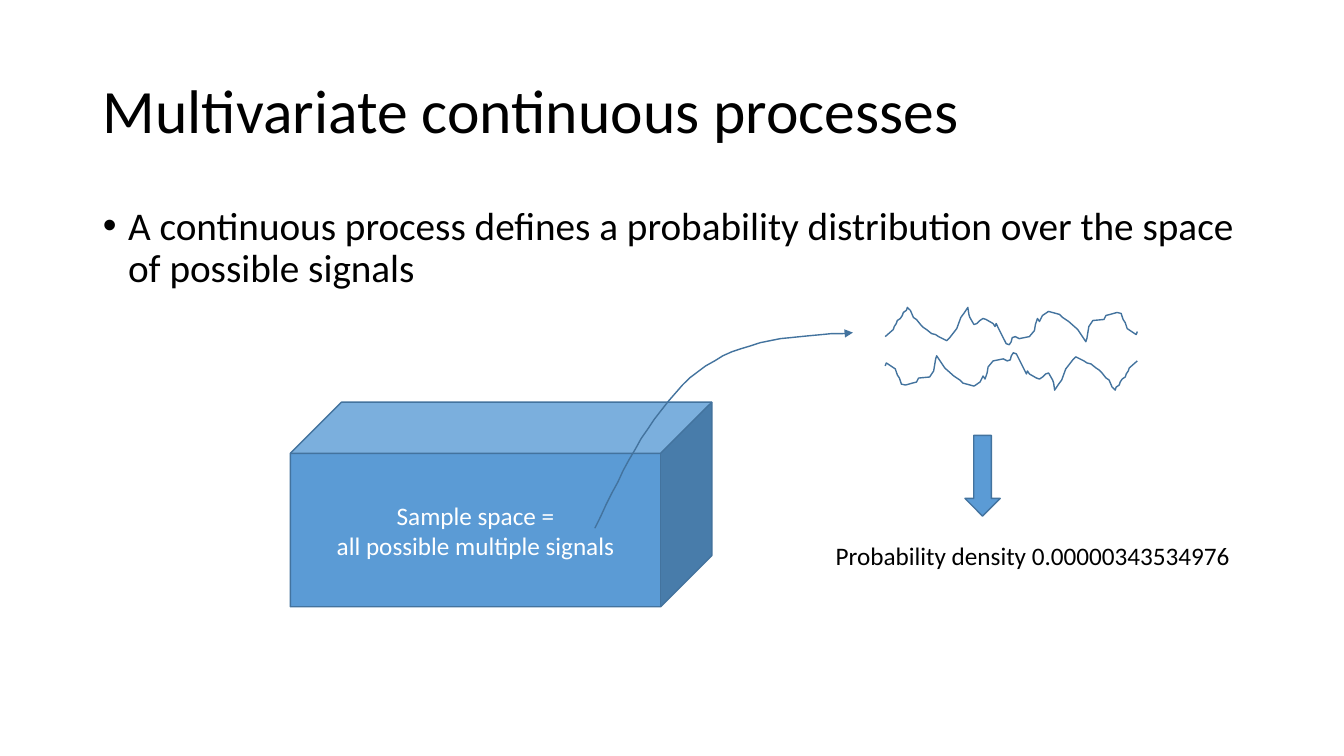
from dataclasses import dataclass

from lxml.etree import SubElement
from pptx import Presentation
from pptx.dml.color import RGBColor
from pptx.enum.shapes import MSO_SHAPE
from pptx.enum.text import MSO_ANCHOR, MSO_AUTO_SIZE, PP_ALIGN
from pptx.oxml.ns import qn
from pptx.util import Inches, Pt


@dataclass(frozen=True)
class Theme:
    font: str = "Calibri"
    ink: RGBColor = RGBColor(0x00, 0x00, 0x00)
    paper: RGBColor = RGBColor(0xFF, 0xFF, 0xFF)
    fill: RGBColor = RGBColor(0x5B, 0x9B, 0xD5)
    outline: RGBColor = RGBColor(0x43, 0x73, 0x9E)
    title_size: int = 44
    body_size: int = 28
    label_size: int = 18
    line_width: int = 1


@dataclass(frozen=True)
class Box:
    left: float
    top: float
    width: float
    height: float

    def inside(self, left, top, width, height):
        return Box(self.left + left, self.top + top, width, height)

    def lengths(self):
        return [Inches(value) for value in (self.left, self.top, self.width, self.height)]


THEME = Theme()

# Signal outline in hundredths of an inch from its top left corner
SIGNAL = [
    (0, 29), (8, 22), (9, 19), (11, 16), (12, 13), (15, 11), (17, 8), (18, 5),
    (21, 3), (22, 0), (25, 3), (28, 10), (31, 12), (35, 17), (38, 20), (41, 22),
    (46, 26), (50, 27), (53, 29), (61, 33), (64, 30), (71, 21), (75, 10), (78, 6),
    (82, 0), (83, 7), (84, 10), (88, 17), (91, 16), (94, 13), (97, 11), (100, 12),
    (107, 16), (109, 19), (110, 16), (114, 24), (116, 28), (120, 36), (123, 37),
    (125, 34), (126, 30), (129, 29), (133, 31), (143, 29), (148, 23), (149, 17),
    (151, 11), (153, 14), (156, 8), (162, 4), (173, 7), (176, 10), (182, 14),
    (191, 22), (195, 28), (199, 34), (200, 31), (202, 19), (206, 13), (217, 12),
    (219, 8), (223, 7), (230, 5), (234, 6), (236, 12), (238, 15), (240, 21),
    (246, 25), (249, 27), (250, 24),
]

# Cubic pieces of the sampling arrow, in the same units
ARROW_CURVE = [
    [(0, 194), (30, 132), (60, 71), (102, 39)],
    [(102, 39), (145, 6), (200, 3), (256, 0)],
]


def write_text(frame, text, *, size, color=THEME.ink, align=PP_ALIGN.LEFT,
               anchor=MSO_ANCHOR.TOP, wrap=True, fit=MSO_AUTO_SIZE.NONE,
               line_spacing=None, bullet=False):
    frame.word_wrap = wrap
    frame.auto_size = fit
    frame.vertical_anchor = anchor
    for index, line in enumerate(text.split("\n")):
        para = frame.add_paragraph() if index else frame.paragraphs[0]
        para.alignment = align
        para.space_before = Pt(0)
        if line_spacing:
            para.line_spacing = line_spacing
        if bullet:
            properties = para._p.get_or_add_pPr()
            properties.set("marL", str(Inches(0.25)))
            properties.set("indent", str(-Inches(0.25)))
            SubElement(properties, qn("a:buFont")).set("typeface", "Arial")
            SubElement(properties, qn("a:buChar")).set("char", "•")
        span = para.add_run()
        span.text = line
        span.font.name = THEME.font
        span.font.size = Pt(size)
        span.font.color.rgb = color


def style_shape(shape, filled=True):
    shape.shadow.inherit = False
    if filled:
        shape.fill.solid()
        shape.fill.fore_color.rgb = THEME.fill
    else:
        shape.fill.background()
    shape.line.color.rgb = THEME.outline
    shape.line.width = Pt(THEME.line_width)


def add_preset(page, kind, box):
    shape = page.shapes.add_shape(kind, *box.lengths())
    style_shape(shape)
    return shape


def add_outline(page, points, box):
    builder = page.shapes.build_freeform(*points[0], scale=Inches(0.01))
    builder.add_line_segments(points[1:], close=False)
    shape = builder.convert_to_shape(Inches(box.left), Inches(box.top))
    style_shape(shape, filled=False)
    return shape


def curve_points(pieces, steps=16):
    points = [pieces[0][0]]
    for start, first, second, end in pieces:
        for step in range(1, steps + 1):
            t = step / steps
            weights = ((1 - t) ** 3, 3 * t * (1 - t) ** 2, 3 * t ** 2 * (1 - t), t ** 3)
            points.append(tuple(
                sum(weight * value for weight, value in zip(weights, axis))
                for axis in zip(start, first, second, end)))
    return points


def fill_placeholder(shape, box, text, **text_format):
    shape.left, shape.top, shape.width, shape.height = box.lengths()
    write_text(shape.text_frame, text, line_spacing=0.9, **text_format)


def add_sample_space(page, box):
    cube = add_preset(page, MSO_SHAPE.CUBE, box)
    write_text(cube.text_frame, "Sample space =\nall possible multiple signals",
               size=THEME.label_size, color=THEME.paper,
               align=PP_ALIGN.CENTER, anchor=MSO_ANCHOR.MIDDLE)


def add_sampling_arrow(page, box):
    arrow = add_outline(page, curve_points(ARROW_CURVE), box)
    SubElement(arrow.line._get_or_add_ln(), qn("a:tailEnd")).set("type", "triangle")


def add_signals(page, box):
    # The lower signal is the upper one turned by half a turn
    for row, angle in enumerate((0, 180)):
        signal = add_outline(page, SIGNAL, box.inside(0, 0.45 * row, 2.5, 0.37))
        signal.rotation = angle


def add_density(page, box):
    add_preset(page, MSO_SHAPE.DOWN_ARROW, box.inside(1.38, 0, 0.35, 0.8))
    label = page.shapes.add_textbox(*box.inside(0, 0.99, box.width, 0.4).lengths())
    write_text(label.text_frame, "Probability density 0.00000343534976",
               size=THEME.label_size, wrap=False, fit=MSO_AUTO_SIZE.SHAPE_TO_FIT_TEXT)


def build_process_slide(deck):
    page = deck.slides.add_slide(deck.slide_layouts[1])
    content = Box(0.92, 0.4, 11.5, 6.36)

    # Title and statement
    title, body = page.placeholders
    fill_placeholder(title, content.inside(0, 0, content.width, 1.45),
                     "Multivariate continuous processes",
                     size=THEME.title_size, anchor=MSO_ANCHOR.MIDDLE)
    fill_placeholder(body, content.inside(0, 1.6, content.width, 4.76),
                     "A continuous process defines a probability distribution "
                     "over the space of possible signals",
                     size=THEME.body_size, bullet=True)

    # Diagram from sample space to density
    add_sample_space(page, content.inside(1.96, 3.59, 4.18, 2.03))
    add_sampling_arrow(page, content.inside(4.98, 2.9, 2.56, 1.94))
    add_density(page, content.inside(7.27, 3.92, 4.15, 1.39))
    add_signals(page, content.inside(7.86, 2.65, 2.5, 0.82))


def main():
    deck = Presentation()
    deck.slide_width, deck.slide_height = Inches(13.33), Inches(7.5)
    build_process_slide(deck)
    deck.save("out.pptx")


if __name__ == "__main__":
    main()
